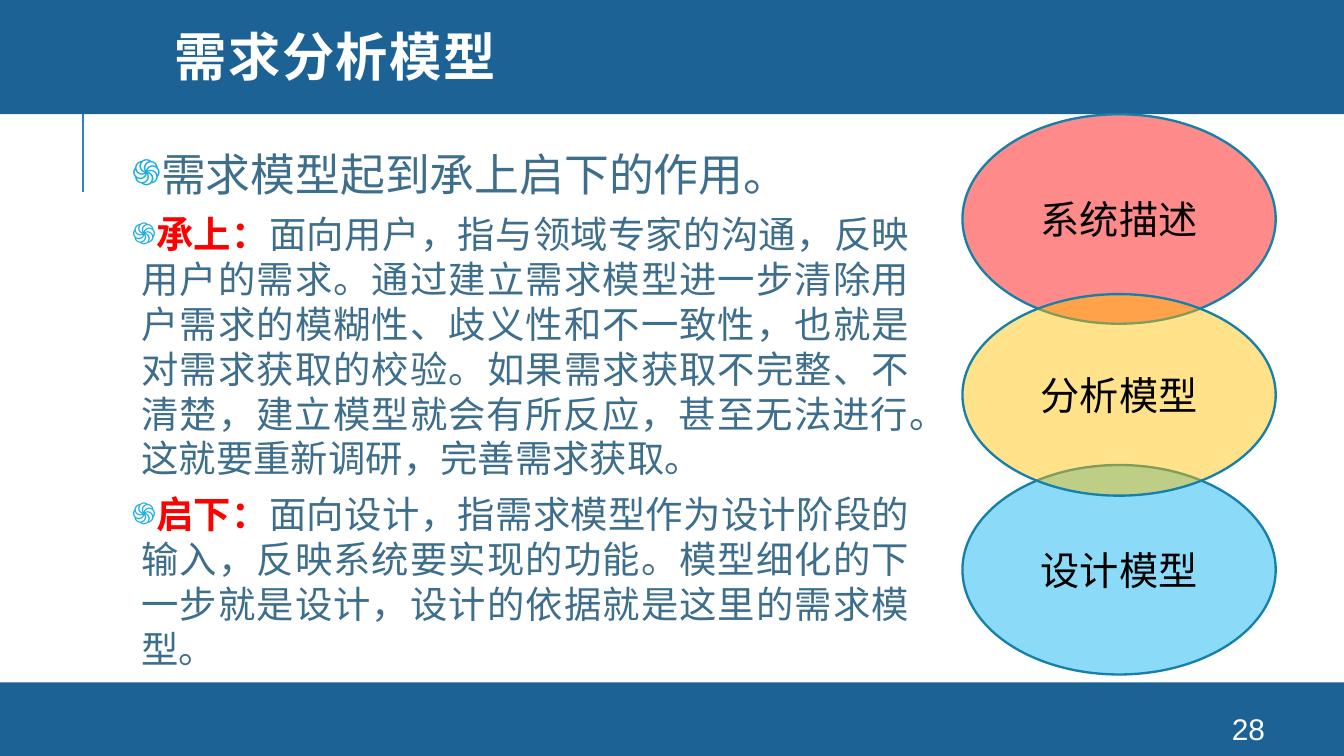
from lxml.etree import SubElement
from pptx import Presentation
from pptx.dml.color import RGBColor
from pptx.enum.shapes import MSO_CONNECTOR as Connector, MSO_SHAPE as Shape
from pptx.enum.text import MSO_ANCHOR as Anchor, MSO_AUTO_SIZE as AutoSize, PP_ALIGN as Align
from pptx.oxml.ns import qn
from pptx.util import Cm, Pt

BLUE, WHITE, RED, TEXT = "1D6294", "FFFFFF", "FF0000", "3D6E8C"
POINTS = [
    (24, "", "需求模型起到承上启下的作用。"),
    (20, "承上：", "面向用户，指与领域专家的沟通，反映用户的需求。通过建立需求模型进一步清除用户需求的模糊性、"
     "歧义性和不一致性，也就是对需求获取的校验。如果需求获取不完整、不清楚，建立模型就会有所反应，"
     "甚至无法进行。这就要重新调研，完善需求获取。"),
    (20, "启下：", "面向设计，指需求模型作为设计阶段的输入，反映系统要实现的功能。模型细化的下一步就是设计，"
     "设计的依据就是这里的需求模型。"),
]
MODELS = [
    ("系统描述", 2.16, 3.96, "FF0000"),
    ("设计模型", 8.79, 3.96, "00B0F0"),
    ("分析模型", 5.56, 3.81, "FFC000"),
]


def color(value):
    """Turn a hex string into a colour."""
    return RGBColor.from_string(value)


def style(span, size, value, bold=False, name="Arial"):
    """Format the font of a run."""
    span.font.name, span.font.size, span.font.bold = name, Pt(size), bold
    span.font.color.rgb = color(value)


def place(box, left, top, width, height):
    """Move and size a box, all in centimetres."""
    box.left, box.top, box.width, box.height = Cm(left), Cm(top), Cm(width), Cm(height)


def add_label(box, text, size, value):
    """Write one centred line into a box."""
    frame = box.text_frame
    frame.text = text
    frame.word_wrap = True
    frame.vertical_anchor = Anchor.MIDDLE
    para = frame.paragraphs[0]
    para.alignment = Align.CENTER
    style(para.runs[0], size, value)


def add_bar(page, top, height):
    """Add a full-width bar behind the title."""
    bar = page.shapes.add_shape(Shape.RECTANGLE, 0, Cm(top), Cm(25.4), Cm(height))
    bar.shadow.inherit = False
    bar.fill.solid()
    bar.fill.fore_color.rgb = color(BLUE)
    bar.line.fill.background()
    page.shapes.title.element.addprevious(bar.element)


def add_rule(page):
    """Add the short vertical line below the header."""
    rule = page.shapes.add_connector(Connector.STRAIGHT, Cm(1.57), Cm(3.63), Cm(1.57), Cm(1.73))
    rule.line.color.rgb = color("2683C6")
    rule.line.width = Pt(1.5)
    SubElement(rule.element.spPr, qn("a:effectLst"))
    page.shapes.title.element.addprevious(rule.element)


def add_title(page, text):
    """Fill the title placeholder."""
    title = page.shapes.title
    place(title, 3.05, 0, 21.56, 2.31)
    frame = title.text_frame
    frame.text = text
    frame.auto_size = AutoSize.NONE
    frame.vertical_anchor = Anchor.MIDDLE
    para = frame.paragraphs[0]
    para.alignment, para.line_spacing = Align.LEFT, 0.8
    span = para.runs[0]
    style(span, 28, WHITE, True, "Montserrat")
    span.font._element.set("spc", "80")


def add_bullet(para):
    """Give a paragraph the flower bullet and its hanging indent."""
    props = para._p.get_or_add_pPr()
    props.set("marL", str(Cm(0.18)))
    props.set("indent", str(Cm(-1.19)))
    SubElement(SubElement(props, qn("a:buClr")), qn("a:srgbClr"), val="1CADE4")
    SubElement(props, qn("a:buSzPct"), val="80000")
    SubElement(props, qn("a:buChar"), char="֍")


def add_points(page):
    """Fill the body placeholder with the bulleted points."""
    body = page.placeholders[1]
    place(body, 2.36, 2.64, 14.96, 10.46)
    frame = body.text_frame
    frame.auto_size = AutoSize.NONE
    frame.margin_left = frame.margin_right = frame.margin_top = frame.margin_bottom = Cm(0.13)
    for index, (size, lead, text) in enumerate(POINTS):
        para = frame.add_paragraph() if index else frame.paragraphs[0]
        add_bullet(para)
        para.alignment = Align.JUSTIFY
        para.space_before = Pt(6 if index else 0)
        for words, value in ((lead, RED), (text, TEXT)):
            if words:
                span = para.add_run()
                span.text = words
                style(span, size, value, value == RED)


def add_model(page, text, top, height, value):
    """Add one translucent ellipse of the model chain."""
    oval = page.shapes.add_shape(Shape.OVAL, Cm(18.19), Cm(top), Cm(5.92), Cm(height))
    oval.shadow.inherit = False
    oval.fill.solid()
    oval.fill.fore_color.rgb = color(value)
    SubElement(oval.element.spPr.find(".//" + qn("a:srgbClr")), qn("a:alpha"), val="46000")
    oval.line.color.rgb = color("1580A9")
    oval.line.width = Pt(1.25)
    add_label(oval, text, 21, "000000")


def main():
    """Build the slide and save it."""
    deck = Presentation()
    deck.slide_width, deck.slide_height = Cm(25.4), Cm(14.29)
    page = deck.slides.add_slide(deck.slide_layouts[1])
    add_rule(page)
    add_bar(page, 12.9, 1.39)
    add_bar(page, -0.08, 2.24)
    add_title(page, "需求分析模型")
    add_points(page)
    for model in MODELS:
        add_model(page, *model)
    number = page.shapes.add_textbox(Cm(22.58), Cm(13.49), Cm(2.03), Cm(0.58))
    add_label(number, "28", 16, WHITE)
    deck.save("out.pptx")


if __name__ == "__main__":
    main()
